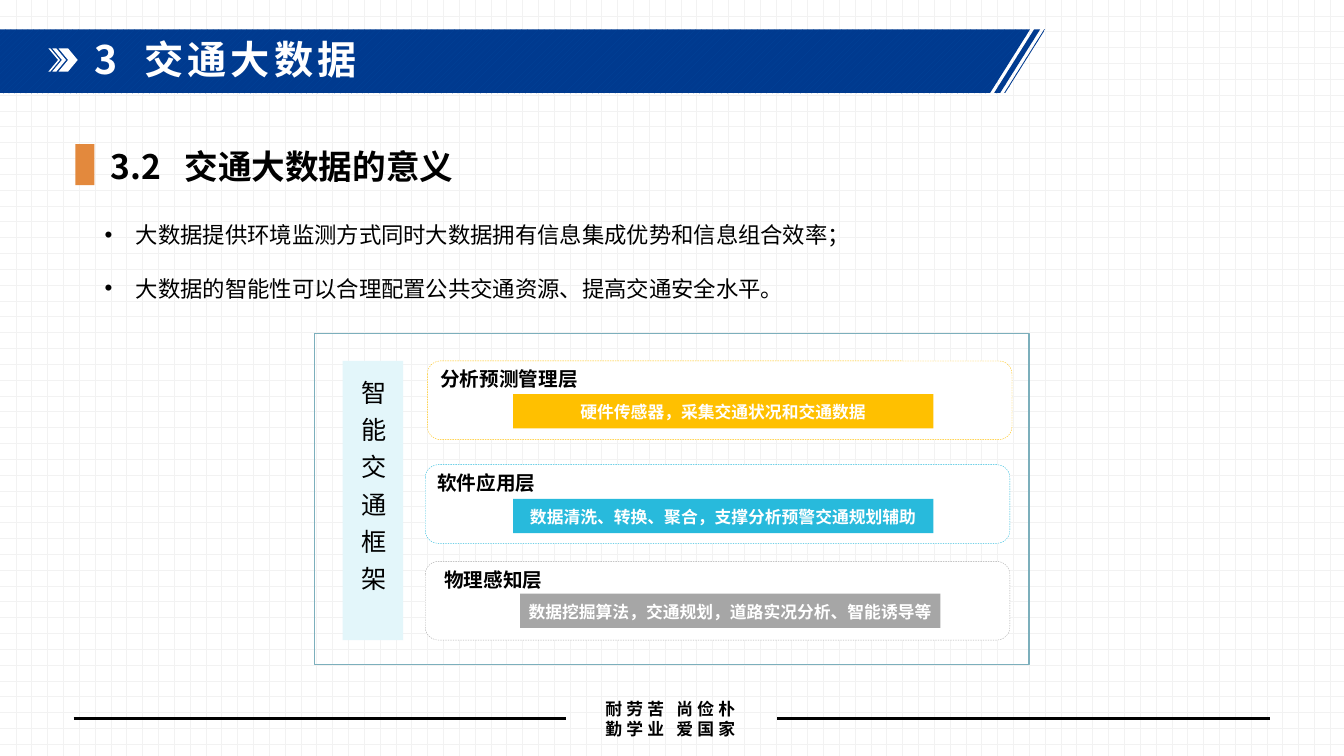
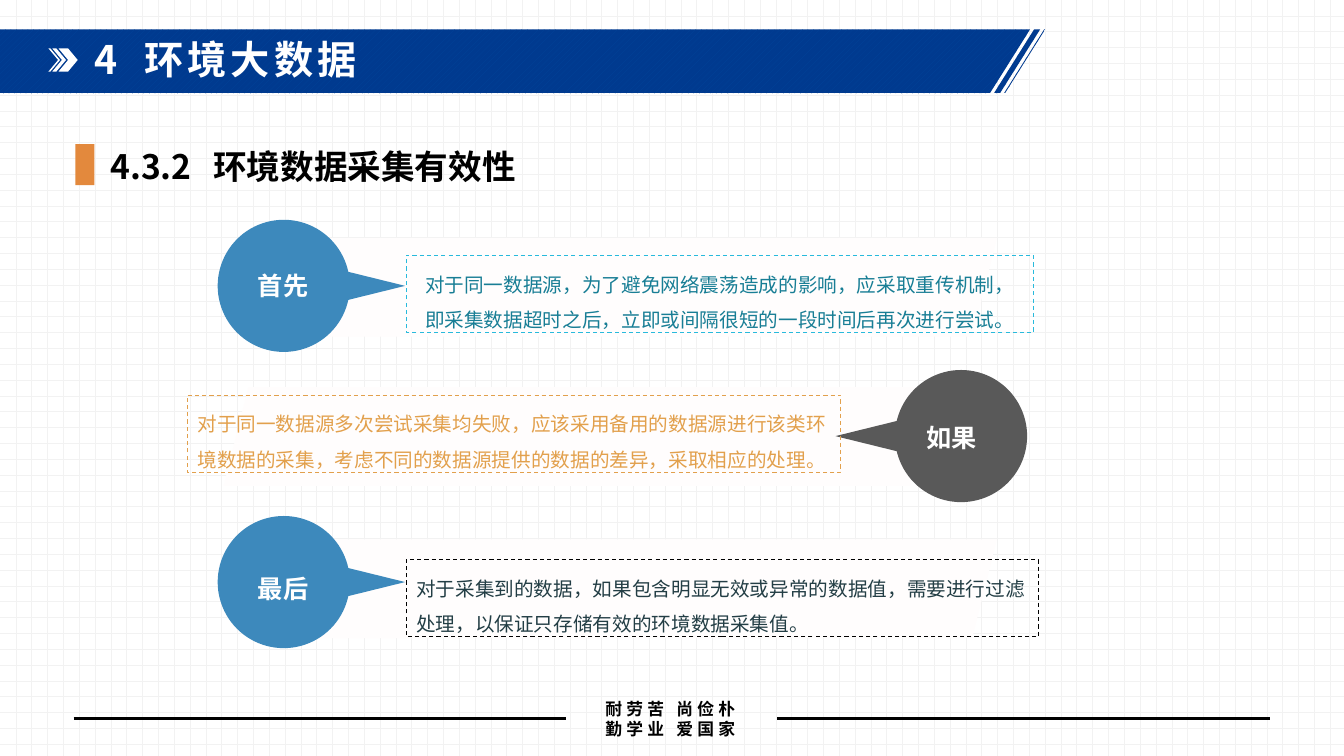
from pptx import Presentation
from pptx.dml.color import RGBColor
from pptx.enum.dml import MSO_LINE, MSO_PATTERN
from pptx.enum.shapes import MSO_CONNECTOR, MSO_SHAPE
from pptx.enum.text import MSO_ANCHOR, PP_ALIGN
from pptx.oxml.xmlchemy import OxmlElement
from pptx.util import Pt

RECT, ROUNDED, OVAL = MSO_SHAPE.RECTANGLE, MSO_SHAPE.ROUNDED_RECTANGLE, MSO_SHAPE.OVAL
CHEVRON, TRIANGLE = MSO_SHAPE.CHEVRON, MSO_SHAPE.ISOSCELES_TRIANGLE
PARALLELOGRAM, PROCESS = MSO_SHAPE.PARALLELOGRAM, MSO_SHAPE.FLOWCHART_PROCESS
STRAIGHT, DASH = MSO_CONNECTOR.STRAIGHT, MSO_LINE.DASH
DOT_GRID, DIAGONAL = MSO_PATTERN.DOTTED_GRID, MSO_PATTERN.WIDE_UPWARD_DIAGONAL
LEFT, CENTER = PP_ALIGN.LEFT, PP_ALIGN.CENTER
TOP, MIDDLE = MSO_ANCHOR.TOP, MSO_ANCHOR.MIDDLE

SANS, SERIF, DISPLAY = "Noto Sans CJK SC", "Times New Roman", "League Spartan"
BLACK, WHITE = "000000", "FFFFFF"
LINE_HEIGHT = 1.2
MOTTO = ["耐劳苦 尚俭朴", "勤学业 爱国家"]
BAND_TOP, BAND_BOTTOM, BAND_SLANT = 21, 66.8, 28.8
BAND_STRIPES = [(738.7, 743), (745.9, 746.6)]
ARROW_TOP, ARROW_HEIGHT, ARROW_REACH = 34.6, 16.5, 6.9
ARROW_STROKES = [(37.4, 2.9), (34.6, 1.4)]
FOOTER_RULES = [(52.6, 404.6), (555.1, 907.2)]

TRAFFIC = {
    "chapter": "3\t交通大数据",
    "section": "3.2\t交通大数据的意义",
    "section_tab": 53,
    "points": [
        "大数据提供环境监测方式同时大数据拥有信息集成优势和信息组合效率；",
        "大数据的智能性可以合理配置公共交通资源、提高交通安全水平。",
    ],
    "framework": "智能交通框架",
    # layers: name, detail, colour, card corner, bar corner, label left
    "layers": [
        ("分析预测管理层", "硬件传感器，采集交通状况和交通数据", "FFC000",
         (305.3, 257.8), (366.5, 281.5), 307.4),
        ("软件应用层", "数据清洗、转换、聚合，支撑分析预警交通规划辅助", "28BADC",
         (303.8, 331.9), (366.5, 356.4), 305.3),
        ("物理感知层", "数据挖掘算法，交通规划，道路实况分析、智能诱导等", "A6A6A6",
         (303.8, 401), (371.5, 424.1), 310.3),
    ],
}
ENVIRONMENT = {
    "chapter": "4\t环境大数据",
    "section": "4.3.2\t环境数据采集有效性",
    "section_tab": 73.5,
    "shades": [(204.5, 385.2), (204.5, 169.9), (159.8, 276.5)],
    "steps": [
        {"label": "首先", "label_at": (177.1, 189.4), "circle": (202.7, 204.2),
         "tail": 64, "fill": "3D89BC", "box": (290.2, 182.2, 448, 55.4),
         "line": "28BADC", "color": "187E95", "align": CENTER,
         "text": "对于同一数据源，为了避免网络震荡造成的影响，应采取重传机制，"
                 "即采集数据超时之后，立即或间隔很短的一段时间后再次进行尝试。"},
        {"label": "如果", "label_at": (654.5, 297.4), "circle": (686.5, 311.5),
         "tail": -67, "fill": "595959", "box": (133.9, 282.2, 466.6, 55.4),
         "line": "E2A04C", "color": "E2A04C", "align": LEFT,
         "text": "对于同一数据源多次尝试采集均失败，应该采用备用的数据源进行该类环境数据的采集，"
                 "考虑不同的数据源提供的数据的差异，采取相应的处理。"},
        {"label": "最后", "label_at": (177.1, 405.4), "circle": (202.7, 415.8),
         "tail": 64, "fill": "3D89BC", "box": (290.2, 399.6, 451.5, 55.4),
         "line": BLACK, "color": "233E45", "align": LEFT,
         "text": "对于采集到的数据，如果包含明显无效或异常的数据值，需要进行过滤处理，"
                 "以保证只存储有效的环境数据采集值。"},
    ],
}


def rgb(value):
    return RGBColor.from_string(value)


def pattern_fill(fill, pattern, fore, back):
    fill.patterned()
    fill.pattern = pattern
    fill.fore_color.rgb = rgb(fore)
    fill.back_color.rgb = rgb(back)


def add_child(parent, tag, **attributes):
    child = OxmlElement(tag)
    for key, value in attributes.items():
        child.set(key, str(value))
    parent.append(child)
    return child


def add_block(slide, preset, box, fill=None, line=None, weight=0.25, dash=None):
    block = slide.shapes.add_shape(preset, *map(Pt, box))
    block.shadow.inherit = False
    if fill:
        block.fill.solid()
        block.fill.fore_color.rgb = rgb(fill)
    else:
        block.fill.background()
    if line:
        block.line.color.rgb = rgb(line)
        block.line.width = Pt(weight)
        block.line.dash_style = dash
    else:
        block.line.fill.background()
    return block


def add_outline(slide, contours):
    first, *others = [[(Pt(x), Pt(y)) for x, y in points] for points in contours]
    builder = slide.shapes.build_freeform(*first[0])
    builder.add_line_segments(first[1:], close=True)
    for points in others:
        builder.move_to(*points[0])
        builder.add_line_segments(points[1:], close=True)
    outline = builder.convert_to_shape()
    outline.shadow.inherit = False
    outline.line.fill.background()
    return outline


def write(holder, lines, size, color, font=SANS, bold=False, align=LEFT, anchor=TOP,
          spread=0, leading=1, gap=0, side=7.2, top=4, wrap=True, tab=None, bullet=0):
    frame = holder.text_frame
    frame.text = "\n".join(lines)
    frame.word_wrap = wrap
    frame.vertical_anchor = anchor
    frame.margin_left = frame.margin_right = Pt(side)
    frame.margin_top, frame.margin_bottom = Pt(top), Pt(0 if anchor == MIDDLE else 3.6)
    for index, paragraph in enumerate(frame.paragraphs):
        properties = paragraph._p.get_or_add_pPr()
        if bullet:
            properties.set("marL", str(Pt(bullet)))
            properties.set("indent", str(-Pt(bullet)))
            add_child(properties, "a:buFont", typeface="Arial")
            add_child(properties, "a:buChar", char="•")
        if tab:
            stops = add_child(properties, "a:tabLst")
            add_child(stops, "a:tab", pos=Pt(tab), algn="l")
        paragraph.alignment = align
        paragraph.line_spacing = Pt(size * LINE_HEIGHT * leading)
        if index and gap:
            paragraph.space_before = Pt(gap)
        for run in paragraph.runs:
            run.font.size = Pt(size)
            run.font.bold = bold
            run.font.name = font
            run.font.color.rgb = rgb(color)
            style = run._r.get_or_add_rPr()
            add_child(style, "a:ea", typeface=SANS)
            if spread:
                style.set("spc", str(int(spread * 100)))


def add_label(slide, box, lines, size, color, **style):
    write(slide.shapes.add_textbox(*map(Pt, box)), lines, size, color, **style)


def add_frame(deck, content):
    slide = deck.slides.add_slide(deck.slide_layouts[6])
    pattern_fill(slide.background.fill, DOT_GRID, "F2F2F2", WHITE)

    contours = [[(0, BAND_TOP), (735.8, BAND_TOP), (735.8 - BAND_SLANT, BAND_BOTTOM),
                 (0, BAND_BOTTOM)]]
    contours += [[(left, BAND_TOP), (right, BAND_TOP), (right - BAND_SLANT, BAND_BOTTOM),
                  (left - BAND_SLANT, BAND_BOTTOM)] for left, right in BAND_STRIPES]
    pattern_fill(add_outline(slide, contours).fill, DIAGONAL, "00449A", "003A8F")

    add_block(slide, CHEVRON, (41.8, ARROW_TOP, 13.7, ARROW_HEIGHT), WHITE)
    middle, bottom = ARROW_TOP + ARROW_HEIGHT / 2, ARROW_TOP + ARROW_HEIGHT
    for left, thickness in ARROW_STROKES:
        right = left + thickness
        stroke = add_outline(slide, [[
            (left, ARROW_TOP), (right, ARROW_TOP), (right + ARROW_REACH, middle),
            (right, bottom), (left, bottom), (left + ARROW_REACH, middle)]])
        stroke.fill.solid()
        stroke.fill.fore_color.rgb = rgb(WHITE)

    add_label(slide, (403.9, 495.4, 149.8, 36), MOTTO, 12, BLACK, bold=True,
              align=CENTER, anchor=MIDDLE, spread=3, top=0)
    for start, end in FOOTER_RULES:
        rule = slide.shapes.add_connector(STRAIGHT, Pt(start), Pt(513.4), Pt(end), Pt(513.4))
        rule.line.color.rgb = rgb(BLACK)
        rule.line.width = Pt(2)
        add_child(rule._element.spPr, "a:effectLst")

    add_block(slide, RECT, (53.8, 103, 13.7, 29.2), "E3893D")
    add_label(slide, (67.6, 24.5, 590, 40), [content["chapter"]], 28, WHITE, bold=True,
              spread=3, leading=0.9, side=0, tab=35.3)
    add_label(slide, (78.9, 103, 820, 29.5), [content["section"]], 24, BLACK, bold=True,
              leading=0.9, side=0, tab=content["section_tab"])
    return slide


def build_traffic(deck):
    slide = add_frame(deck, TRAFFIC)
    for name, detail, color, card, bar, label_left in TRAFFIC["layers"]:
        add_block(slide, ROUNDED, (*card, 417.6, 56.2), WHITE, color, dash=DASH)
        strip = add_block(slide, RECT, (*bar, 300.2, 24.5), color)
        write(strip, [detail], 12, WHITE, font=SERIF, bold=True, align=CENTER,
              anchor=MIDDLE, side=0, top=1)
        add_label(slide, (label_left, card[1] + 0.5, 120, 24.5), [name], 14, BLACK,
                  font=SERIF, bold=True)
    add_block(slide, PROCESS, (224.6, 238.3, 510.5, 236.2), line="7CAFBC", weight=1)
    pillar = add_block(slide, RECT, (244.8, 257.8, 43.2, 199.4), "E3F6FA")
    write(pillar, [TRAFFIC["framework"]], 18, BLACK, anchor=MIDDLE, spread=8.5,
          side=0, top=14)
    pillar.text_frame._txBody.bodyPr.set("vert", "eaVert")
    add_label(slide, (67.7, 154, 597.6, 75), TRAFFIC["points"], 16, BLACK,
              gap=19.2, bullet=22.3)


def build_environment(deck):
    slide = add_frame(deck, ENVIRONMENT)
    for corner in ENVIRONMENT["shades"]:
        add_block(slide, PARALLELOGRAM, (*corner, 507.6, 70.6), "FFFDFD")
    diameter, tail_width, tail_length = 94.4, 22.4, 45.4
    for step in ENVIRONMENT["steps"]:
        x, y = step["circle"]
        add_block(slide, OVAL, (x - diameter / 2, y - diameter / 2, diameter, diameter),
                  step["fill"])
        tail = add_block(slide, TRIANGLE, (x + step["tail"] - tail_width / 2,
                         y - tail_length / 2, tail_width, tail_length), step["fill"])
        tail.rotation = 90 if step["tail"] > 0 else 270
        # the tail is a narrow triangle turned sideways
        note = add_block(slide, RECT, step["box"], line=step["line"], weight=0.75, dash=DASH)
        write(note, [step["text"]], 14, step["color"], font=DISPLAY, align=step["align"],
              leading=1.5)
        add_label(slide, (*step["label_at"], 51.1, 28.8), [step["label"]], 18, WHITE,
                  font=DISPLAY, bold=True, wrap=False)


def main():
    deck = Presentation()
    deck.slide_width, deck.slide_height = Pt(960), Pt(540)
    build_traffic(deck)
    build_environment(deck)
    deck.save("out.pptx")


if __name__ == "__main__":
    main()
